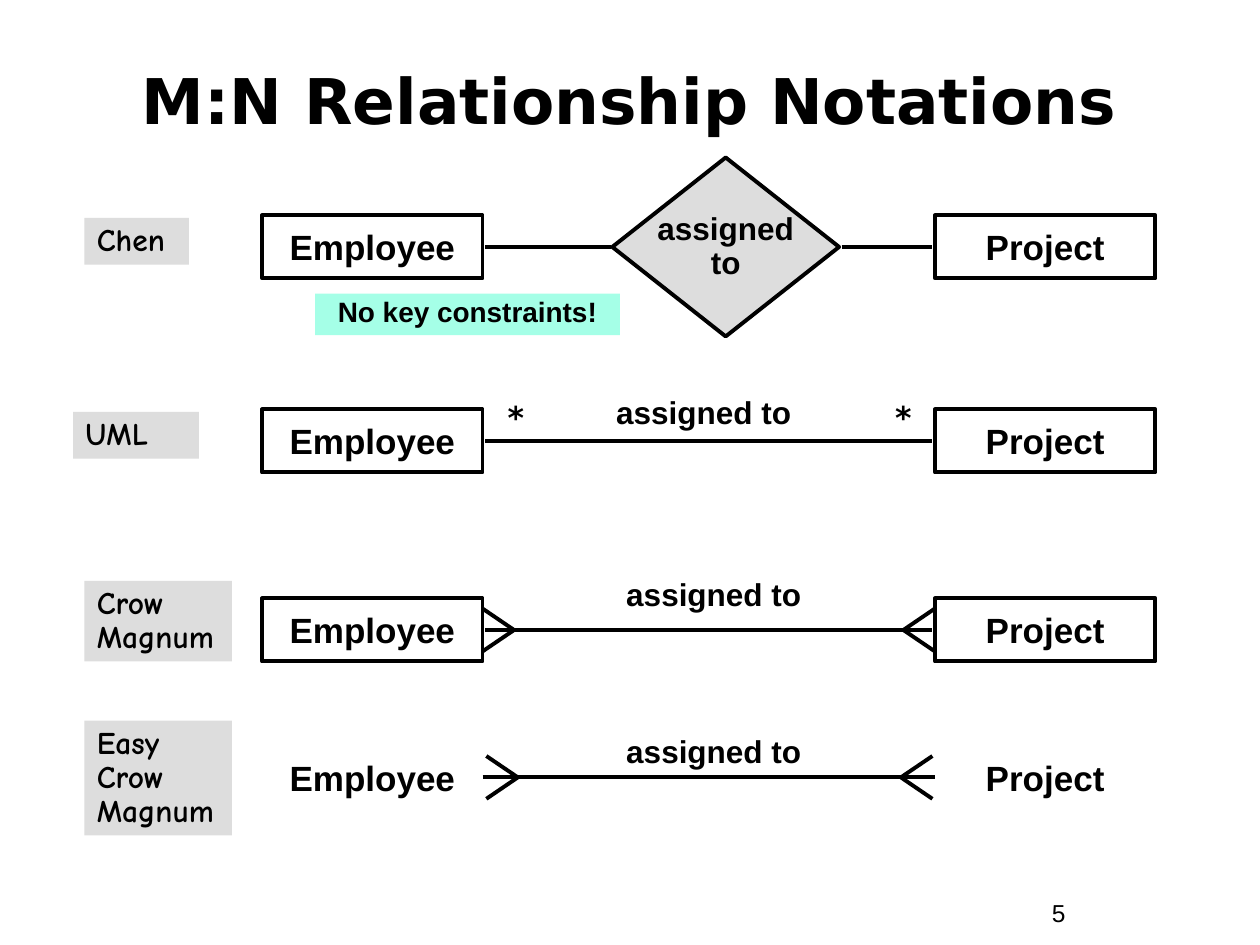
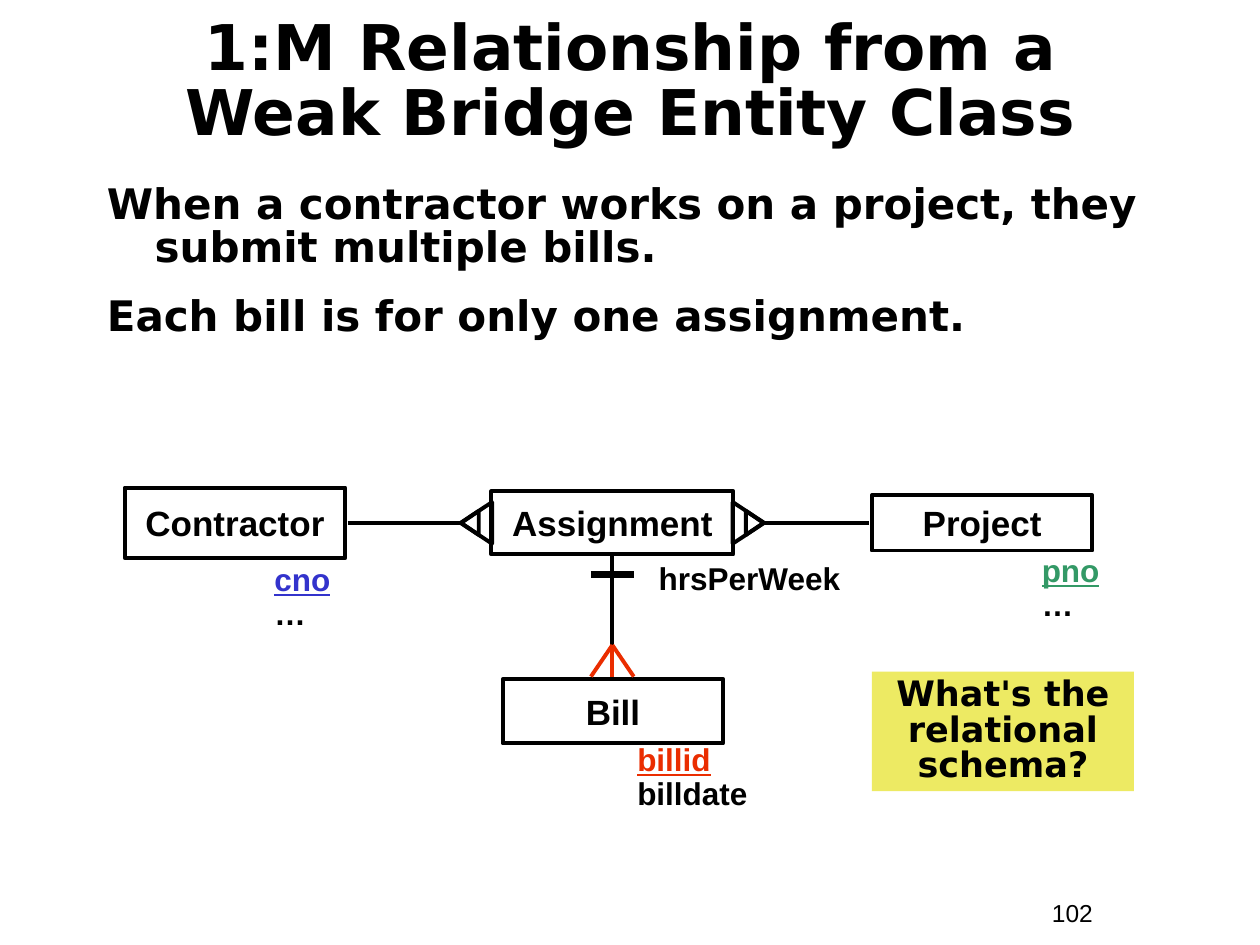
import pptx
import pptx.util
import pptx.dml.color
import pptx.enum.shapes
import pptx.enum.text
import pptx.oxml.ns
import lxml.etree

Inches = pptx.util.Inches
Pt = pptx.util.Pt
RGBColor = pptx.dml.color.RGBColor
SHAPE = pptx.enum.shapes.MSO_SHAPE
ALIGN = pptx.enum.text.PP_ALIGN
ANCHOR = pptx.enum.text.MSO_ANCHOR

BLACK = RGBColor(0x00, 0x00, 0x00)
GREY = RGBColor(0xDD, 0xDD, 0xDD)
MINT = RGBColor(0xA5, 0xFF, 0xE7)
YELLOW = RGBColor(0xED, 0xEA, 0x63)
RED = RGBColor(0xEA, 0x2D, 0x00)
BLUE = RGBColor(0x33, 0x33, 0xCC)
GREEN = RGBColor(0x33, 0x99, 0x66)

# Text styles: font formats shared by both slides
TITLE = dict(name="DejaVu Sans", size=Pt(36), bold=True)
BODY = dict(TITLE, size=Pt(24))
CALLOUT = dict(TITLE, size=Pt(20))
STAR = dict(TITLE, size=Pt(18))
ENTITY = dict(name="Arial", size=Pt(20), bold=True)
LABEL = dict(ENTITY, size=Pt(18))
NOTE = dict(ENTITY, size=Pt(16))
TAG = dict(name="Comic Neue", size=Pt(18), bold=True)
NUMBER = dict(name="Arial", size=Pt(14), bold=False)

LINE_WIDTH = 2.25
TOE_SPREAD = 0.17
ENTITY_WIDTH = 1.75


def write(box, paragraphs, font, align=ALIGN.LEFT, spacing=1.0, gap=0,
          hanging=0, middle=False, wrap=True):
    """Fill a box; a paragraph is a string or a list of (text, colour, underline)."""
    frame = box.text_frame
    frame.word_wrap = wrap
    frame.vertical_anchor = ANCHOR.MIDDLE if middle else ANCHOR.TOP
    for index, spans in enumerate(paragraphs):
        para = frame.add_paragraph() if index else frame.paragraphs[0]
        layout = dict(alignment=align, line_spacing=spacing,
                      space_before=Pt(gap if index else 0))
        for key, value in layout.items():
            setattr(para, key, value)
        if hanging:
            properties = para._p.get_or_add_pPr()
            properties.set("marL", str(Inches(hanging)))
            properties.set("indent", str(-Inches(hanging)))
        if isinstance(spans, str):
            spans = [(spans, BLACK, False)]
        for text, color, underline in spans:
            for number, piece in enumerate(text.split("\n")):
                if number:
                    para.add_line_break()
                if piece:
                    span = para.add_run()
                    span.text = piece
                    for key, value in dict(font, underline=underline).items():
                        setattr(span.font, key, value)
                    span.font.color.rgb = color


def add_text(page, at, paragraphs, font, **layout):
    box = page.shapes.add_textbox(*map(Inches, at))
    write(box, paragraphs, font, **layout)


def add_shape(page, kind, at, fill=None, outlined=True):
    shape = page.shapes.add_shape(kind, *map(Inches, at))
    shape.shadow.inherit = False
    if fill is None:
        shape.fill.background()
    else:
        shape.fill.solid()
        shape.fill.fore_color.rgb = fill
    if outlined:
        shape.line.color.rgb = BLACK
        shape.line.width = Pt(LINE_WIDTH)
    else:
        shape.line.fill.background()
    return shape


def add_panel(page, at, text, font, fill, **layout):
    panel = add_shape(page, SHAPE.RECTANGLE, at, fill, outlined=False)
    write(panel, [text], font, **layout)


def add_line(page, start, end, color=BLACK, width=LINE_WIDTH):
    line = page.shapes.add_connector(
        pptx.enum.shapes.MSO_CONNECTOR.STRAIGHT, *map(Inches, (*start, *end)))
    line.line.color.rgb = color
    line.line.width = Pt(width)
    lxml.etree.SubElement(line._element.spPr, pptx.oxml.ns.qn("a:effectLst"))


def add_entity(page, at, name, outlined=True):
    layout = dict(align=ALIGN.CENTER, middle=True, wrap=False)
    if outlined:
        write(add_shape(page, SHAPE.RECTANGLE, at), [name], ENTITY, **layout)
    else:
        add_text(page, at, [name], ENTITY, **layout)


def add_toes(page, tip, base, color=BLACK):
    """Two lines from the tip, spreading to both sides of the base point."""
    horizontal = tip[1] == base[1]
    for spread in (-TOE_SPREAD, TOE_SPREAD):
        end = ((base[0], base[1] + spread) if horizontal
               else (base[0] + spread, base[1]))
        add_line(page, tip, end, color)


def add_frame(deck, title, title_at, number, spacing=1.0):
    """A new slide with the shared title style and page number."""
    page = deck.slides.add_slide(deck.slide_layouts[6])
    add_text(page, title_at, [title], TITLE, align=ALIGN.CENTER,
             spacing=spacing, middle=True)
    add_text(page, (8.25, 7.08, 0.92, 0.34), [number], NUMBER)
    return page


def add_notation(page, top, tag, tag_at, outlined=True):
    """One row: name tag and the two entities. Returns the middle height."""
    add_panel(page, tag_at, tag, TAG, GREY, spacing=0.9)
    for left, name in ((2.08, "Employee"), (7.42, "Project")):
        add_entity(page, (left, top, ENTITY_WIDTH, 0.5), name, outlined)
    return top + 0.25


def add_role(page, left, top):
    add_text(page, (left, top, 1.67, 0.36), ["assigned to"], LABEL,
             align=ALIGN.CENTER, spacing=0.85)


def build_notations(deck):
    page = add_frame(deck, "M:N Relationship Notations",
                     (0.33, 0.33, 9.33, 0.92), "5")

    # Chen: relationship as a diamond
    middle = add_notation(page, 1.71, "Chen", (0.67, 1.73, 0.83, 0.37))
    for start, end in ((3.85, 4.85), (6.68, 7.4)):
        add_line(page, (start, middle), (end, middle))
    diamond = add_shape(page, SHAPE.FLOWCHART_DECISION,
                        (4.86, middle - 0.71, 1.8, 1.42), GREY)
    write(diamond, ["assigned\nto"], LABEL, align=ALIGN.CENTER, spacing=0.9,
          middle=True, wrap=False)
    add_panel(page, (2.5, 2.33, 2.42, 0.33), "No key constraints!", NOTE, MINT,
              align=ALIGN.CENTER, spacing=0.85, hanging=0.38)

    # UML: stars at both ends
    middle = add_notation(page, 3.25, "UML", (0.58, 3.27, 1, 0.37))
    add_line(page, (3.85, middle), (7.4, middle))
    add_role(page, 4.75, 3.12)
    for left, width in ((3.68, 0.83), (6.92, 0.5)):
        add_text(page, (left, 3.14, width, 0.37), ["*"], STAR,
                 align=ALIGN.CENTER, spacing=0.9)

    # Crow Magnum, with and without entity outlines
    crow_rows = (
        (4.75, "Crow\nMagnum", (0.67, 4.61, 1.17, 0.64), True, 4.56,
         (3.85, 7.4), ((4.08, 3.83), (7.17, 7.42))),
        (5.92, "Easy\nCrow\nMagnum", (0.67, 5.72, 1.17, 0.91), False, 5.81,
         (3.83, 7.42), ((4.11, 3.86), (7.15, 7.4))),
    )
    for top, tag, tag_at, outlined, role_top, ends, feet in crow_rows:
        middle = add_notation(page, top, tag, tag_at, outlined)
        add_line(page, (ends[0], middle), (ends[1], middle))
        for tip, base in feet:
            add_toes(page, (tip, middle), (base, middle))
        add_role(page, 4.83, role_top)


def add_weak_foot(page, center, middle, side):
    """Nested triangles pointing left (side -1) or right (side 1)."""
    for offset, width, height in ((0, 0.33, 0.25), (0.05, 0.19, 0.14)):
        left = center + side * offset - width / 2
        triangle = add_shape(page, SHAPE.ISOSCELES_TRIANGLE,
                             (left, middle - height / 2, width, height))
        triangle.rotation = 90 * side % 360


def build_weak_bridge(deck):
    page = add_frame(deck, "1:M Relationship from a\nWeak Bridge Entity Class",
                     (0.17, 0.33, 9.67, 0.67), "102", spacing=0.85)
    add_text(page, (0.75, 1.42, 8.5, 1.33),
             ["When a contractor works on a project, they submit multiple bills.",
              "Each bill is for only one assignment."],
             BODY, spacing=0.85, gap=15, hanging=0.38)

    # Entities
    middle = 4.15
    for left, width, height, name in ((0.99, ENTITY_WIDTH, 0.56, "Contractor"),
                                      (3.9, 1.92, 0.5, "Assignment"),
                                      (6.92, ENTITY_WIDTH, 0.44, "Project")):
        add_entity(page, (left, middle - height / 2, width, height), name)
    add_entity(page, (3.99, 5.39, ENTITY_WIDTH, 0.51), "Bill")

    # Contractor and Project to Assignment
    for start, end in ((2.76, 3.65), (6.07, 6.9)):
        add_line(page, (start, middle), (end, middle))
    for center, side in ((3.78, -1), (5.94, 1)):
        add_weak_foot(page, center, middle, side)

    # Assignment to Bill
    axis, tip, base = 4.86, 5.12, 5.37
    add_line(page, (axis, 4.41), (axis, base))
    add_line(page, (axis - TOE_SPREAD, 4.56), (axis + TOE_SPREAD, 4.56), width=4.5)
    add_toes(page, (axis, tip), (axis, base), RED)
    add_line(page, (axis, tip), (axis, base), RED)

    # Attributes, keys underlined
    attributes = (
        ((2.08, 4.43, 1.25, 0.64), "cno", BLUE, "…"),
        ((8.17, 4.36, 1, 0.64), "pno", GREEN, "…"),
        ((4.96, 5.86, 1.5, 0.64), "billid", RED, "billdate"),
    )
    for at, key, color, other in attributes:
        add_text(page, at, [[(key, color, True)], other], LABEL, spacing=0.9)
    add_text(page, (5.13, 4.42, 1.83, 0.37), ["hrsPerWeek"], LABEL, spacing=0.9)

    # Question
    add_panel(page, (6.92, 5.33, 2.08, 0.95), "What's the relational schema?",
              CALLOUT, YELLOW, align=ALIGN.CENTER, spacing=0.85)


def main():
    deck = pptx.Presentation()
    deck.slide_width, deck.slide_height = Inches(10), Inches(7.5)
    build_notations(deck)
    build_weak_bridge(deck)
    deck.save("out.pptx")


if __name__ == "__main__":
    main()
